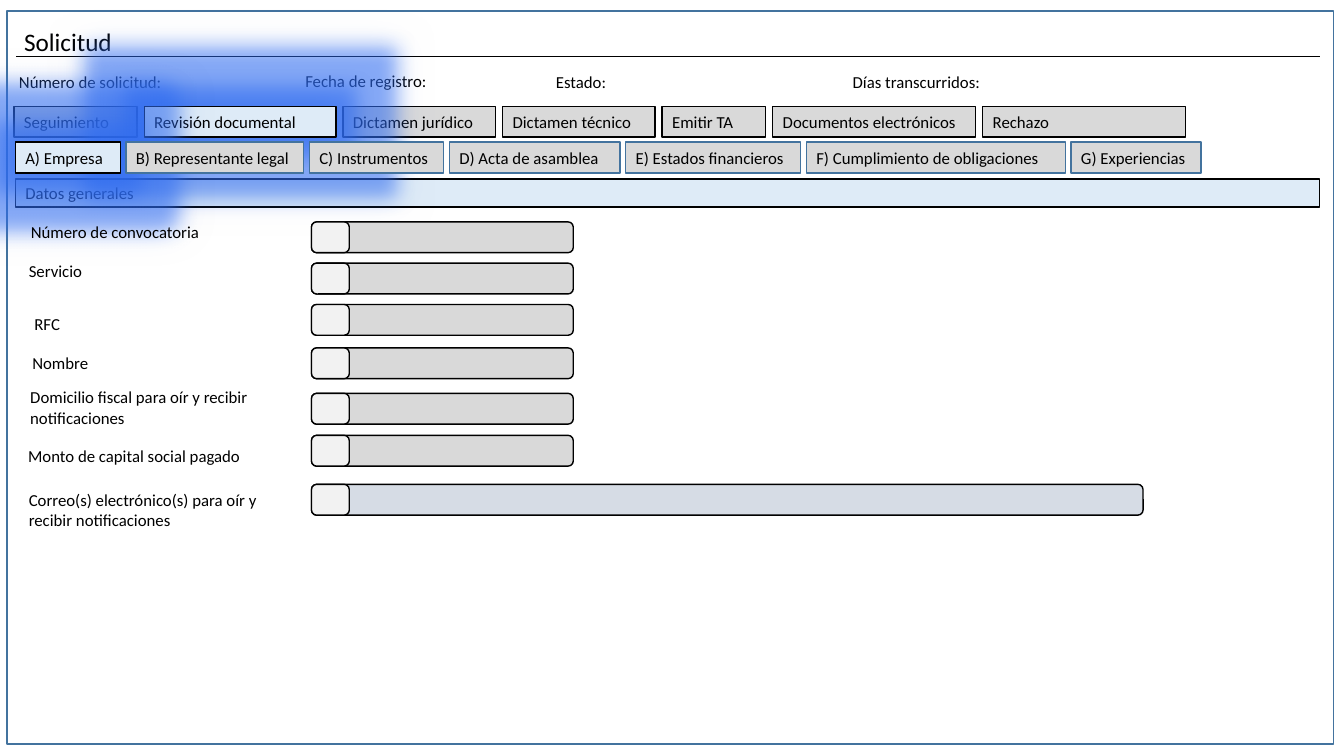
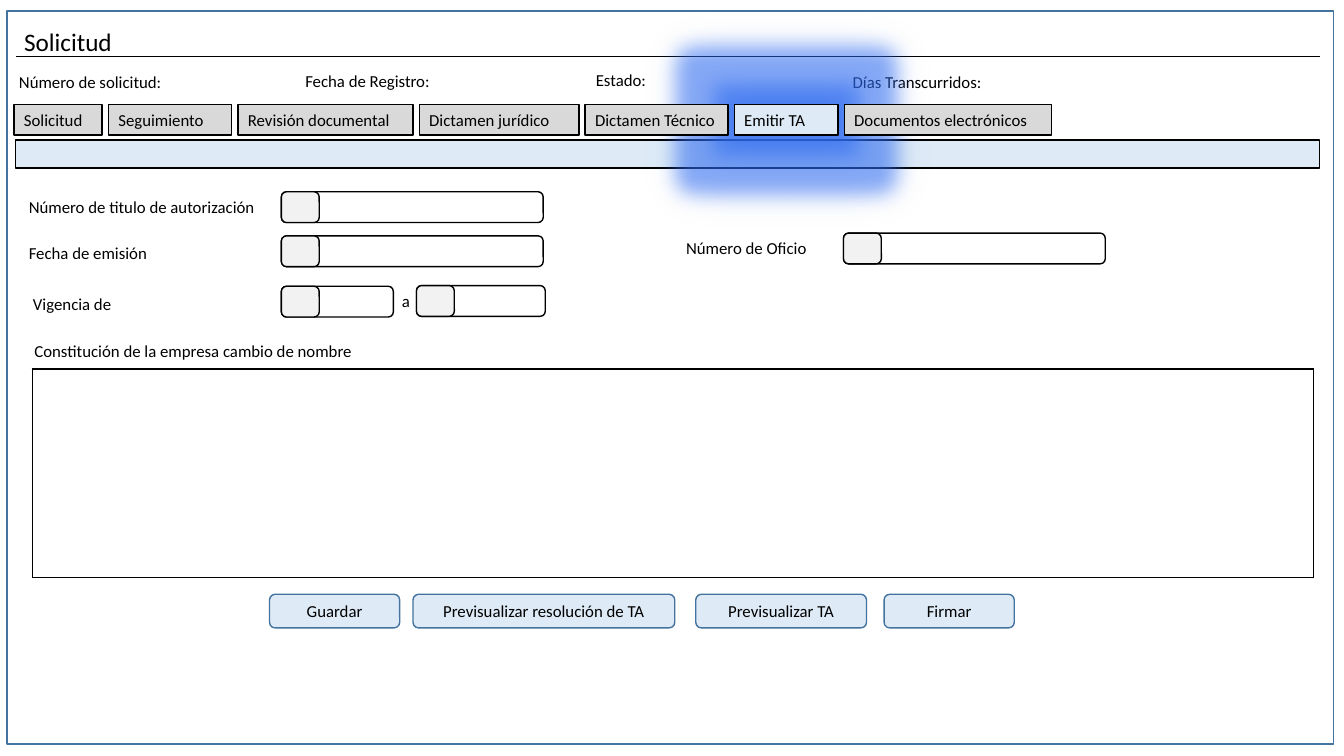
from lxml.etree import SubElement
from pptx import Presentation
from pptx.dml.color import RGBColor
from pptx.enum.shapes import MSO_CONNECTOR, MSO_SHAPE
from pptx.enum.text import MSO_ANCHOR, PP_ALIGN
from pptx.oxml import parse_xml
from pptx.oxml.ns import nsdecls, qn
from pptx.util import Pt

FONT = "Calibri"
BLACK, WHITE, GRAY, PALE = "000000", "FFFFFF", "D9D9D9", "F2F2F2"
SKY, STEEL, SLATE, GLOW = "DEEBF7", "43739E", "D6DCE5", "2E6BF0"
ROW = 22  # height of fields and text lines

# Tab rows: start, top, gap, edge colour, active index, active on top, tabs
REVIEW = {
    "heads": [("Número de solicitud:", 6.5, 47.5),
              ("Fecha de registro:", 211, 47),
              ("Estado:", 390, 47.5),
              ("Días transcurridos:", 602, 48)],
    "band": ("Datos generales", 128),
    "tabs": [
        (10, 76, 5, BLACK, 1, True, [
            ("Seguimiento", 88), ("Revisión documental", 137),
            ("Dictamen jurídico", 109), ("Dictamen técnico", 109),
            ("Emitir TA", 74), ("Documentos electrónicos", 145),
            ("Rechazo", 145)]),
        (11, 101.5, 4, STEEL, 0, False, [
            ("A) Empresa", 75), ("B) Representante legal", 127),
            ("C) Instrumentos", 96), ("D) Acta de asamblea", 122),
            ("E) Estados financieros", 125),
            ("F) Cumplimiento de obligaciones", 185),
            ("G) Experiencias", 93)]),
    ],
    "labels": [("Número de convocatoria", 15, 155), ("Servicio", 13.5, 183),
               ("RFC", 17.5, 220.5), ("Nombre", 16, 248.5),
               ("Domicilio fiscal para oír y recibir notificaciones",
                14.5, 273),
               ("Monto de capital social pagado", 13, 315),
               ("Correo(s) electrónico(s) para oír y recibir notificaciones",
                13.5, 346)],
    "fields": [(222.5, y, 187, GRAY)
               for y in (158.5, 188, 217.5, 248.5, 281, 311)]
              + [(222.5, 346, 594, SLATE)],
}
ISSUE = {
    "heads": [("Número de solicitud:", 6.5, 47.5),
              ("Fecha de Registro:", 211, 47),
              ("Estado:", 418.5, 46.5),
              ("Días Transcurridos:", 602, 48)],
    "band": ("", 100),
    "tabs": [
        (10, 74.5, 4.5, BLACK, 5, False, [
            ("Solicitud", 63), ("Seguimiento", 88),
            ("Revisión documental", 125), ("Dictamen jurídico", 114),
            ("Dictamen Técnico", 102), ("Emitir TA", 74),
            ("Documentos electrónicos", 148)]),
    ],
    "labels": [("Número de titulo de autorización", 13.5, 137),
               ("Fecha de emisión", 13.5, 170), ("Vigencia de", 16.5, 206.5),
               ("a", 280, 204.5), ("Número de Oficio", 483, 166.5),
               ("Constitución de la empresa cambio de nombre", 17.5, 240)],
    "fields": [(201, 137, 187, WHITE), (201, 168.5, 187, WHITE),
               (201, 204.5, 80, WHITE), (297.5, 204, 92, WHITE),
               (602.5, 166.5, 187, WHITE)],
}
GRID = (23, 263.5, 915, 149)
KEYS = [("Guardar", 192.5, 93), ("Previsualizar resolución de TA", 295, 187),
        ("Previsualizar TA", 497, 122), ("Firmar", 631.5, 93)]


def rgb(code):
    return RGBColor.from_string(code)


def write(frame, text, size=12, align=PP_ALIGN.LEFT):
    frame.word_wrap = True
    frame.text = text
    para = frame.paragraphs[0]
    para.alignment = align
    font = para.font
    font.name, font.size, font.color.rgb = FONT, Pt(size), rgb(BLACK)


def box(slide, place, fill=None, edge=BLACK, text="", kind=MSO_SHAPE.RECTANGLE,
        align=PP_ALIGN.LEFT):
    shape = slide.shapes.add_shape(kind, *map(Pt, place))
    shape.shadow.inherit = False
    if fill:
        shape.fill.solid()
        shape.fill.fore_color.rgb = rgb(fill)
    else:
        shape.fill.background()
    shape.line.color.rgb, shape.line.width = rgb(edge), Pt(1)
    if text:
        write(shape.text_frame, text, align=align)
        shape.text_frame.vertical_anchor = MSO_ANCHOR.MIDDLE
    return shape


def label(slide, text, x, y, wide=200):
    area = slide.shapes.add_textbox(Pt(x), Pt(y), Pt(wide), Pt(ROW))
    write(area.text_frame, text)


def shine(shape):
    """Give a shape the blue halo of an active tab."""
    host = shape.element.spPr.find(qn("a:effectLst"))
    for tag, size, alpha in (("glow", "rad", 50), ("outerShdw", "blurRad", 60)):
        part = SubElement(host, qn("a:" + tag), {size: str(Pt(28 if tag == "glow" else 20))})
        tone = SubElement(part, qn("a:srgbClr"), val=GLOW)
        SubElement(tone, qn("a:alpha"), val=str(alpha * 1000))


def tabs(slide, x, y, gap, edge, active, top, items):
    spots = []
    for i, (text, wide) in enumerate(items):
        spots.append((i == active, text, (x, y, wide, ROW)))
        x += wide + gap
    for on, text, place in sorted(spots, key=lambda s: s[0] == top):
        tab = box(slide, place, SKY if on else GRAY, BLACK if on else edge, text)
        if on:
            shine(tab)


def field(slide, x, y, wide, fill):
    for span, tone in ((wide, fill), (27, PALE)):
        box(slide, (x, y, span, ROW), tone, kind=MSO_SHAPE.ROUNDED_RECTANGLE)


def grid(slide):
    """Add the single-cell table with a black border."""
    table = slide.shapes.add_table(1, 1, *map(Pt, GRID)).table
    table.first_row = table.horz_banding = False
    cell = table.cell(0, 0)
    cell.fill.background()
    props = cell._tc.get_or_add_tcPr()
    for i, side in enumerate("LRTB"):
        props.insert(i, parse_xml(
            f'<a:ln{side} {nsdecls("a")} w="{Pt(1)}"><a:solidFill>'
            f'<a:srgbClr val="{BLACK}"/></a:solidFill></a:ln{side}>'))


def form(deck, data):
    """Add a slide with frame, title, band, tabs, labels and fields."""
    slide = deck.slides.add_slide(deck.slide_layouts[5])
    title = slide.shapes.title
    title.left, title.top, title.width, title.height = map(Pt, (10, 15, 368, 29))
    write(title.text_frame, "Solicitud", 18)
    title.text_frame.vertical_anchor = MSO_ANCHOR.TOP
    box(slide, (5, 8, 947.5, 523.5), edge=STEEL)
    text, y = data["band"]
    box(slide, (11, y, 931.5, 20), SKY, text=text)
    rule = slide.shapes.add_connector(
        MSO_CONNECTOR.STRAIGHT, *map(Pt, (11.5, 40.5, 943, 40.5)))
    rule.line.color.rgb, rule.line.width = rgb(BLACK), Pt(0.5)
    SubElement(rule.element.spPr, qn("a:effectLst"))
    for head in data["heads"]:
        label(slide, *head)
    for row in data["tabs"]:
        tabs(slide, *row)
    for text, x, y in data["labels"]:
        label(slide, text, x, y, 264 if text.startswith("Constitución") else 200)
    for spot in data["fields"]:
        field(slide, *spot)
    return slide


def main():
    deck = Presentation()
    deck.slide_width, deck.slide_height = Pt(960), Pt(540)
    form(deck, REVIEW)
    issue = form(deck, ISSUE)
    grid(issue)
    for text, x, wide in KEYS:
        box(issue, (x, 424.5, wide, 24), SKY, STEEL, text,
            MSO_SHAPE.ROUNDED_RECTANGLE, PP_ALIGN.CENTER)
    deck.save("out.pptx")


if __name__ == "__main__":
    main()
